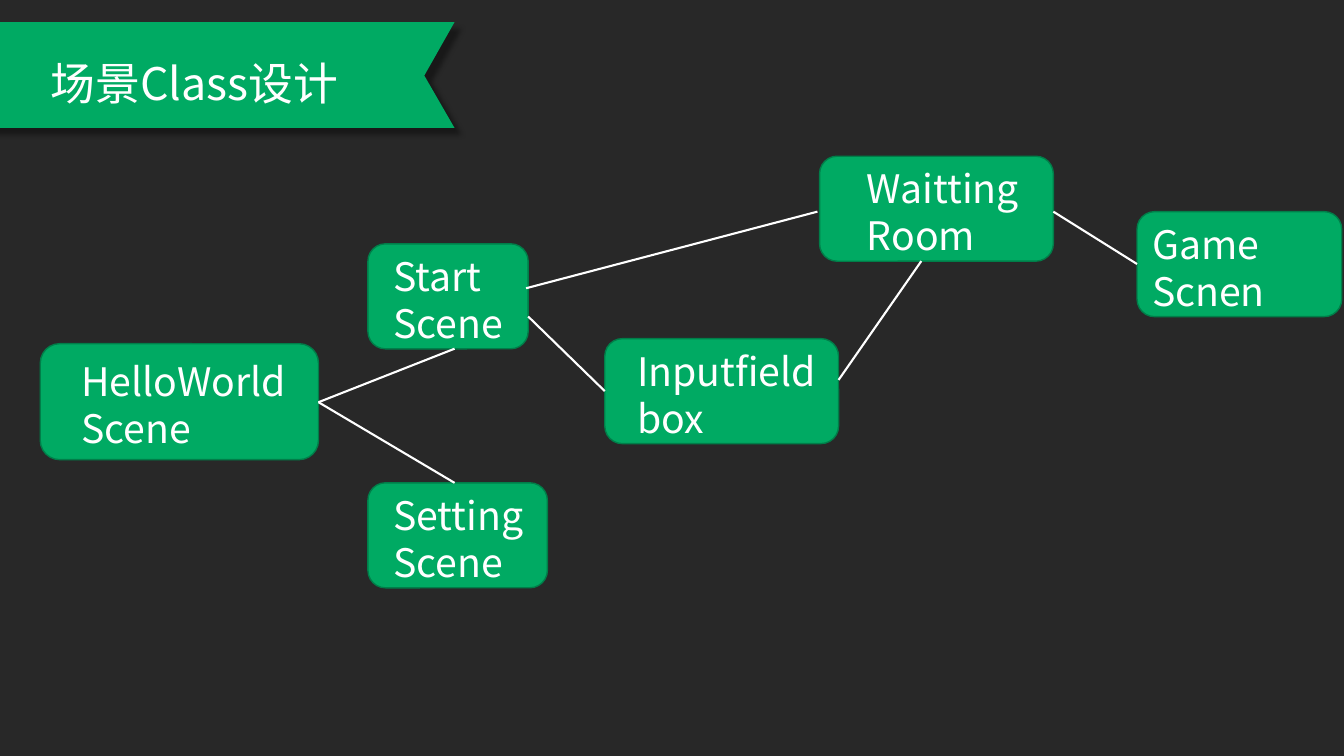
from dataclasses import dataclass

from lxml import etree
from pptx import Presentation
from pptx import util as u
from pptx.dml.color import RGBColor
from pptx.enum import shapes, text
from pptx.oxml import parse_xml
from pptx.oxml.ns import nsdecls, qn

Pt = u.Pt


@dataclass(frozen=True)
class Theme:
    background: str = "282828"
    green: str = "00AA63"
    outline: str = "007E49"
    white: str = "FFFFFF"
    font: str = "Noto Sans CJK SC"
    title_size: float = 32
    scene_size: float = 28
    line_spacing: float = 1.2


THEME = Theme()

# Left, top, width, height, text indent, lines of the label
SCENES = [
    (28.8, 245.5, 198.7, 82.8, 25.2, ["HelloWorldScene"]),
    (262.8, 174.2, 114.5, 75, 14.4, ["Start", "Scene"]),
    (262.8, 344.9, 128.2, 75, 14.4, ["Setting", "Scene"]),
    (432, 241.9, 167, 75, 19.4, ["Inputfield", "box"]),
    (585.4, 111.6, 167, 75, 30.2, ["Waitting", "Room"]),
    (812.2, 151.2, 146.2, 75, 7.2, ["Game", "Scnen"]),
]

# Start x, start y, end x, end y
LINKS = [
    (227.5, 287.3, 324.7, 249.1),
    (227.5, 287.3, 324.7, 344.9),
    (375.8, 205.9, 583.9, 151.2),
    (377.3, 226.1, 432, 279.4),
    (752.4, 151.2, 812.2, 188.6),
    (599, 271.4, 658.1, 186.5),
]

BANNER_OUTLINE = [(-13.7, 15.8), (324.7, 15.8), (303.1, 54), (324.7, 91.4), (-13.7, 91.4)]


def color(value):
    return RGBColor.from_string(value)


def paint(shape, fill):
    shape.fill.solid()
    shape.fill.fore_color.rgb = color(fill)


def write(frame, lines, size, left, top):
    """Write one left-aligned paragraph per line, with the given insets."""
    frame.word_wrap = True
    frame.auto_size = text.MSO_AUTO_SIZE.NONE
    frame.vertical_anchor = text.MSO_ANCHOR.MIDDLE
    frame.margin_left, frame.margin_right = Pt(left), Pt(7.2)
    frame.margin_top, frame.margin_bottom = Pt(top), Pt(0)
    for index, line in enumerate(lines):
        paragraph = frame.add_paragraph() if index else frame.paragraphs[0]
        paragraph.alignment = text.PP_ALIGN.LEFT
        paragraph.line_spacing = Pt(size * THEME.line_spacing)
        paragraph.space_before = Pt(0)
        run = paragraph.add_run()
        run.text = line
        run.font.size = Pt(size)
        run.font.name = THEME.font
        run.font.color.rgb = color(THEME.white)
        east_asian = etree.SubElement(run.font._element, qn("a:ea"))
        east_asian.set("typeface", THEME.font)


def add_banner(slide):
    builder = slide.shapes.build_freeform(
        *(Pt(value) for value in BANNER_OUTLINE[0]), scale=1.0)
    builder.add_line_segments([(Pt(x), Pt(y)) for x, y in BANNER_OUTLINE[1:]], close=True)
    banner = builder.convert_to_shape()
    paint(banner, THEME.green)
    banner.line.fill.background()
    banner.element.spPr.append(parse_xml(
        f'<a:effectLst {nsdecls("a")}><a:outerShdw blurRad="{Pt(4)}" dist="{Pt(6)}" '
        'dir="2700000" algn="tl" rotWithShape="0"><a:srgbClr val="000000">'
        '<a:alpha val="40000"/></a:srgbClr></a:outerShdw></a:effectLst>'))


def add_title(slide, words):
    title = slide.shapes.title
    title.left, title.top, title.width, title.height = Pt(28.8), Pt(33.1), Pt(273.6), Pt(46.1)
    write(title.text_frame, [words], THEME.title_size, 7.2, 6)
    slide.shapes.element.append(title.element)  # in front of the banner


def add_scene(slide, left, top, width, height, indent, lines):
    scene = slide.shapes.add_shape(
        shapes.MSO_SHAPE.ROUNDED_RECTANGLE, Pt(left), Pt(top), Pt(width), Pt(height))
    scene.shadow.inherit = False
    paint(scene, THEME.green)
    scene.line.color.rgb = color(THEME.outline)
    scene.line.width = Pt(1)
    write(scene.text_frame, lines, THEME.scene_size, indent, 4)


def add_link(slide, *ends):
    link = slide.shapes.add_connector(
        shapes.MSO_CONNECTOR.STRAIGHT, *(Pt(value) for value in ends))
    link.line.color.rgb = color(THEME.white)
    link.line.width = Pt(1.5)
    etree.SubElement(link.element.spPr, qn("a:effectLst"))


def main():
    presentation = Presentation()
    presentation.slide_width, presentation.slide_height = Pt(960), Pt(540)
    slide = presentation.slides.add_slide(presentation.slide_layouts[5])
    paint(slide.background, THEME.background)
    add_banner(slide)
    add_title(slide, "场景Class设计")
    for scene in SCENES:
        add_scene(slide, *scene)
    for link in LINKS:
        add_link(slide, *link)
    presentation.save("out.pptx")


if __name__ == "__main__":
    main()
